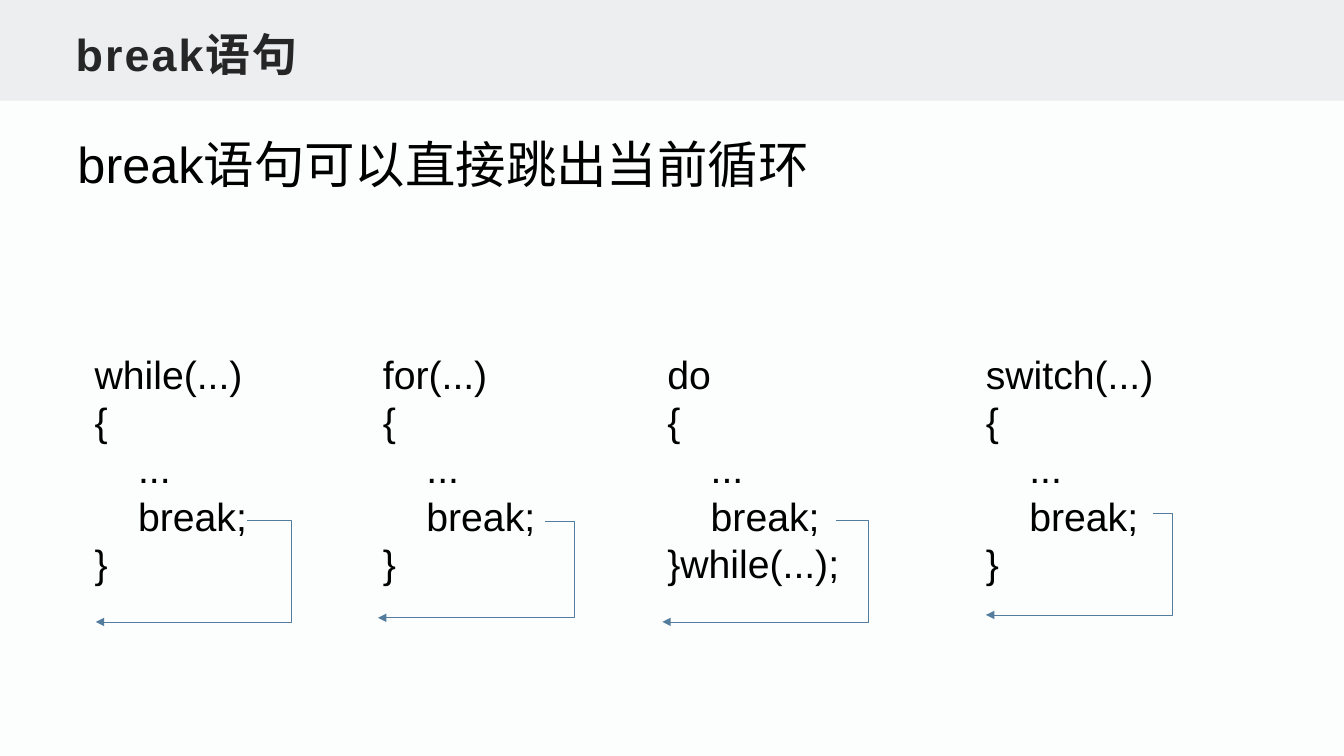
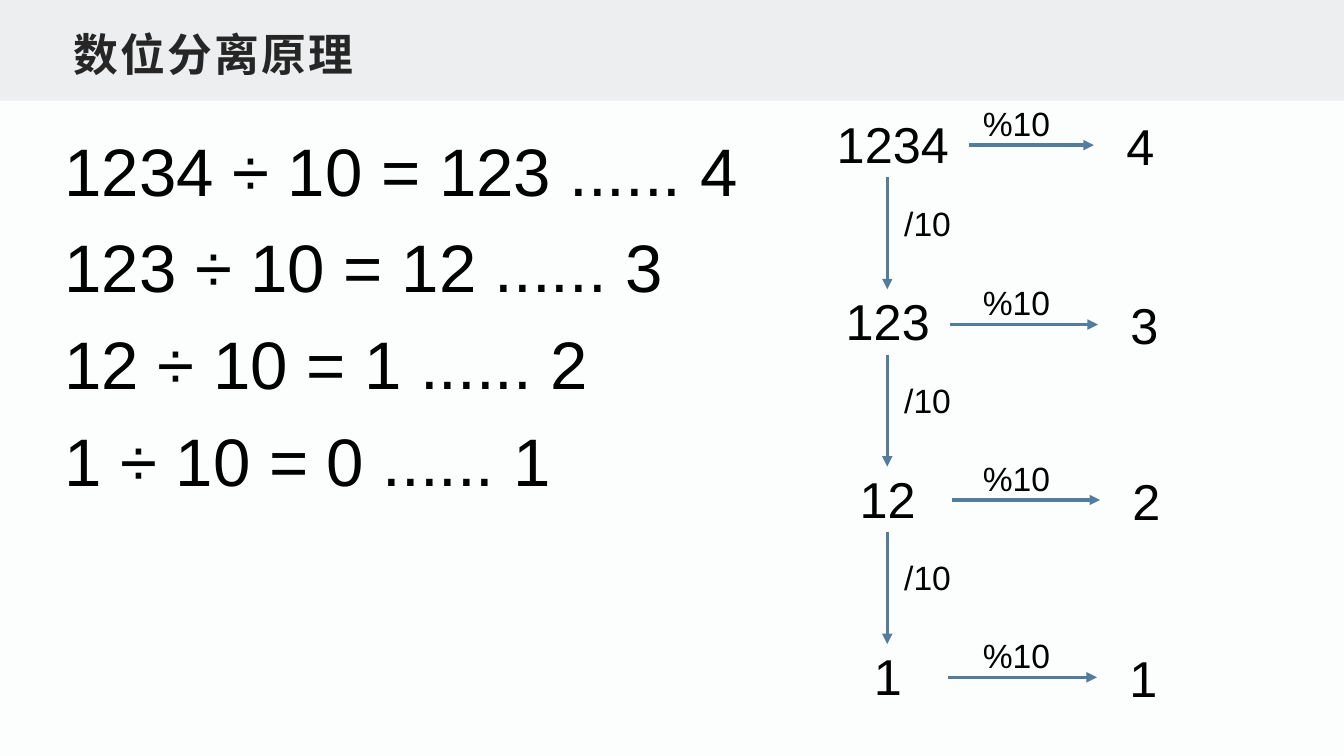
from pptx import Presentation
from pptx import util as u
from pptx.dml.color import RGBColor
from pptx.enum import shapes, text
from pptx.oxml.ns import qn
from lxml import etree

PAPER = RGBColor(0xFC, 0xFD, 0xFD)
BAND = RGBColor(0xEC, 0xEE, 0xEF)
TITLE = RGBColor(0x26, 0x26, 0x26)
INK = RGBColor(0, 0, 0)
STEEL = RGBColor(0x54, 0x7D, 0x9D)

FONT = "Arial"
SLIDE_WIDTH, SLIDE_HEIGHT = 13.33, 7.5
TITLE_FORMAT = {"size": u.Pt(32), "bold": True}
TITLE_FRAME = {
    "vertical_anchor": text.MSO_ANCHOR.BOTTOM,
    "auto_size": text.MSO_AUTO_SIZE.NONE,
    "margin_left": u.Inches(0.08),
    "margin_right": u.Inches(0.08),
    "margin_top": u.Inches(0.04),
    "margin_bottom": u.Inches(0.04),
}

# Code lines, box left, box top of the jump, then its x at start, bend and end, and its drop
LOOPS = [
    ("while(...)", "}", 0.84, (2.45, 2.89, 0.95), (5.16, 6.17)),
    ("for(...)", "}", 3.7, (5.41, 5.7, 3.75), (5.17, 6.13)),
    ("do", "}while(...);", 6.52, (8.29, 8.61, 6.57), (5.16, 6.17)),
    ("switch(...)", "}", 9.68, (11.44, 11.63, 9.78), (5.09, 6.1)),
]

# Number, remainder, left of the number, arrow start and end, arrow height
DIGIT_STEPS = [
    ("1234", "4", 8.1, 9.61, 10.85, 1.44),
    ("123", "3", 8.05, 9.42, 10.89, 3.22),
    ("12", "2", 8.05, 9.44, 10.91, 4.96),
    ("1", "1", 8.05, 9.4, 10.88, 6.72),
]
STEP_TOP, STEP_PITCH = 1.07, 1.76


def set_all(target, values):
    for name, value in values.items():
        setattr(target, name, value)


def add_text(page, lines, at, size, color=INK, align=None, spacing=None, frame=None, font=None):
    box = page.shapes.add_textbox(*map(u.Inches, at))
    body = box.text_frame
    set_all(body, {"word_wrap": True, "auto_size": text.MSO_AUTO_SIZE.SHAPE_TO_FIT_TEXT,
                   **(frame or {})})
    for index, line in enumerate(lines):
        para = body.add_paragraph() if index else body.paragraphs[0]
        set_all(para, {"alignment": align, "line_spacing": spacing})
        span = para.add_run()
        span.text = line
        set_all(span.font, {"name": FONT, "size": u.Pt(size), **(font or {})})
        span.font.color.rgb = color
    return box


def add_arrow(page, start, end, width, kind=shapes.MSO_CONNECTOR.STRAIGHT):
    arrow = page.shapes.add_connector(kind, *map(u.Inches, (*start, *end)))
    arrow.line.width = u.Pt(width)
    arrow.line.color.rgb = STEEL
    etree.SubElement(arrow.line._get_or_add_ln(), qn("a:tailEnd"), type="triangle")
    etree.SubElement(arrow._element.spPr, qn("a:effectLst"))
    return arrow


def add_jump(page, xs, ys):
    """Draw an elbow arrow that swings out to the right and returns to the left."""
    start, bend, end = xs
    arrow = add_arrow(page, (start, ys[0]), (end, ys[1]), 0.5, shapes.MSO_CONNECTOR.ELBOW)
    share = round((start - bend) / (start - end) * 100000)
    geometry = arrow._element.spPr.find(qn("a:prstGeom"))
    guides = geometry.find(qn("a:avLst"))
    etree.SubElement(guides, qn("a:gd"), name="adj1", fmla=f"val {share}")


def add_page(deck, title, title_left):
    page = deck.slides.add_slide(deck.slide_layouts[6])
    page.background.fill.solid()
    page.background.fill.fore_color.rgb = PAPER
    band = page.shapes.add_shape(shapes.MSO_SHAPE.RECTANGLE, 0, 0,
                                 u.Inches(SLIDE_WIDTH), u.Inches(1))
    band.shadow.inherit = False
    band.fill.solid()
    band.fill.fore_color.rgb = BAND
    band.line.fill.background()
    heading = add_text(page, [title], (title_left, 0.17, 12, 0.67), 32, TITLE,
                       frame=TITLE_FRAME, font=TITLE_FORMAT)
    span = heading.text_frame.paragraphs[0].runs[0]
    span.font._element.set("spc", "150")
    return page


def build_break_page(deck):
    page = add_page(deck, "break语句", 0.67)
    add_text(page, ["break语句可以直接跳出当前循环"], (0.67, 1.27, 7.45, 0.71), 36)
    for opening, closing, left, xs, ys in LOOPS:
        code = [opening, "{", "    ...", "    break;", closing]
        add_text(page, code, (left, 3.43, 2.1, 2.46), 28)
        add_jump(page, xs, ys)


def build_digits_page(deck):
    page = add_page(deck, "数位分离原理", 0.65)
    divisions = [
        "1234 ÷ 10 = 123 ...... 4",
        "123 ÷ 10 = 12 ...... 3",
        "12 ÷ 10 = 1 ...... 2",
        "1 ÷ 10 = 0 ...... 1",
    ]
    add_text(page, divisions, (0.54, 1.07, 7.43, 3.98), 48, spacing=1.2)

    center = text.PP_ALIGN.CENTER
    for index, (number, remainder, left, start, end, height) in enumerate(DIGIT_STEPS):
        top = STEP_TOP + index * STEP_PITCH
        add_text(page, [number], (left, top, 1.51, 0.71), 36, align=center)
        add_arrow(page, (start, height), (end, height), 2.5)
        add_text(page, ["%10"], (9.65, height - 0.47, 1.27, 0.5), 24)
        add_text(page, [remainder], (end, height - 0.35, 0.92, 0.71), 36, align=center)
        if index < len(DIGIT_STEPS) - 1:
            add_arrow(page, (8.8, top + 0.69), (8.8, top + 1.8), 2.5)
            add_text(page, ["/10"], (8.87, top + 0.89, 1.27, 0.5), 24)


def main():
    deck = Presentation()
    deck.slide_width = u.Inches(SLIDE_WIDTH)
    deck.slide_height = u.Inches(SLIDE_HEIGHT)
    build_break_page(deck)
    build_digits_page(deck)
    deck.save("out.pptx")


if __name__ == "__main__":
    main()
